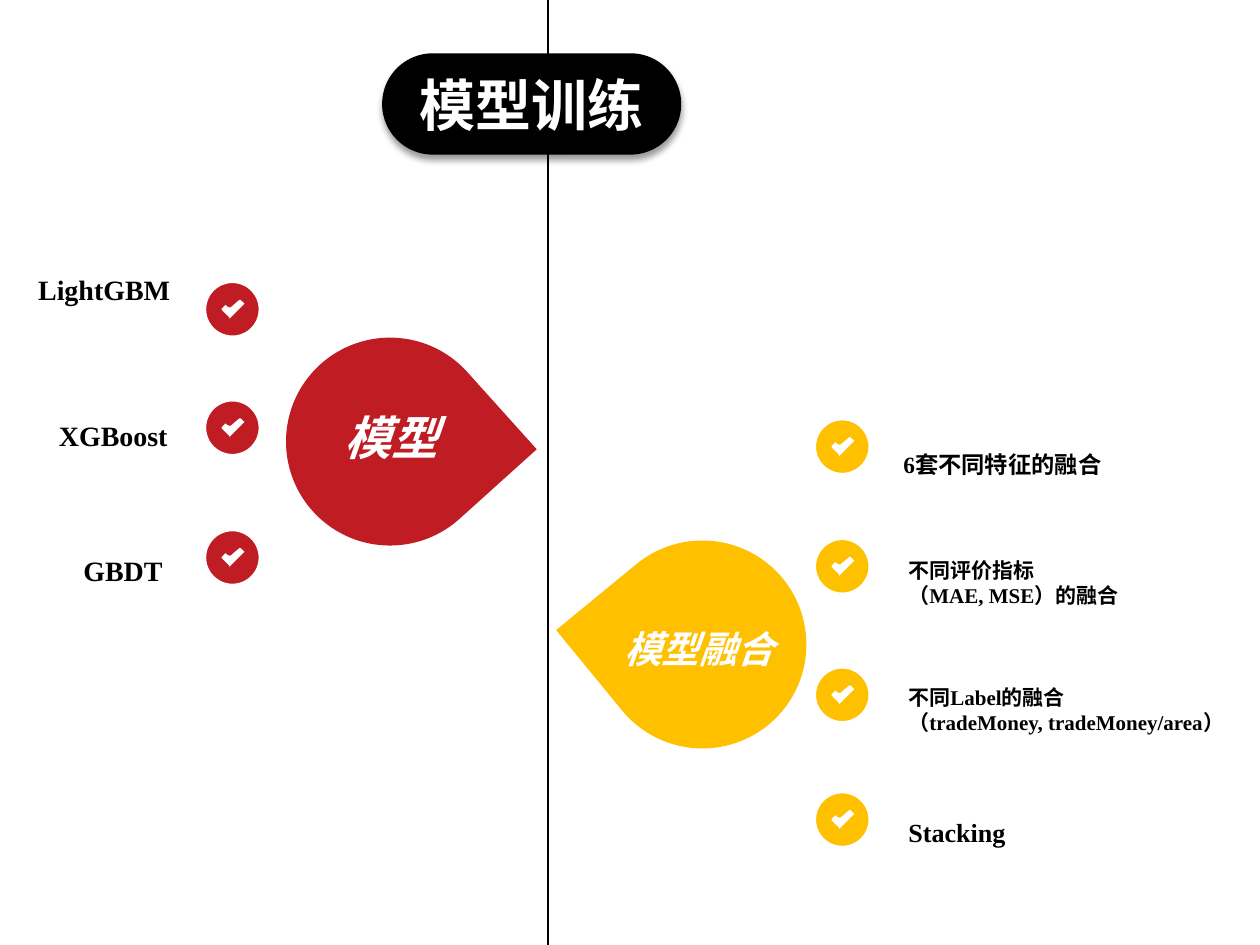
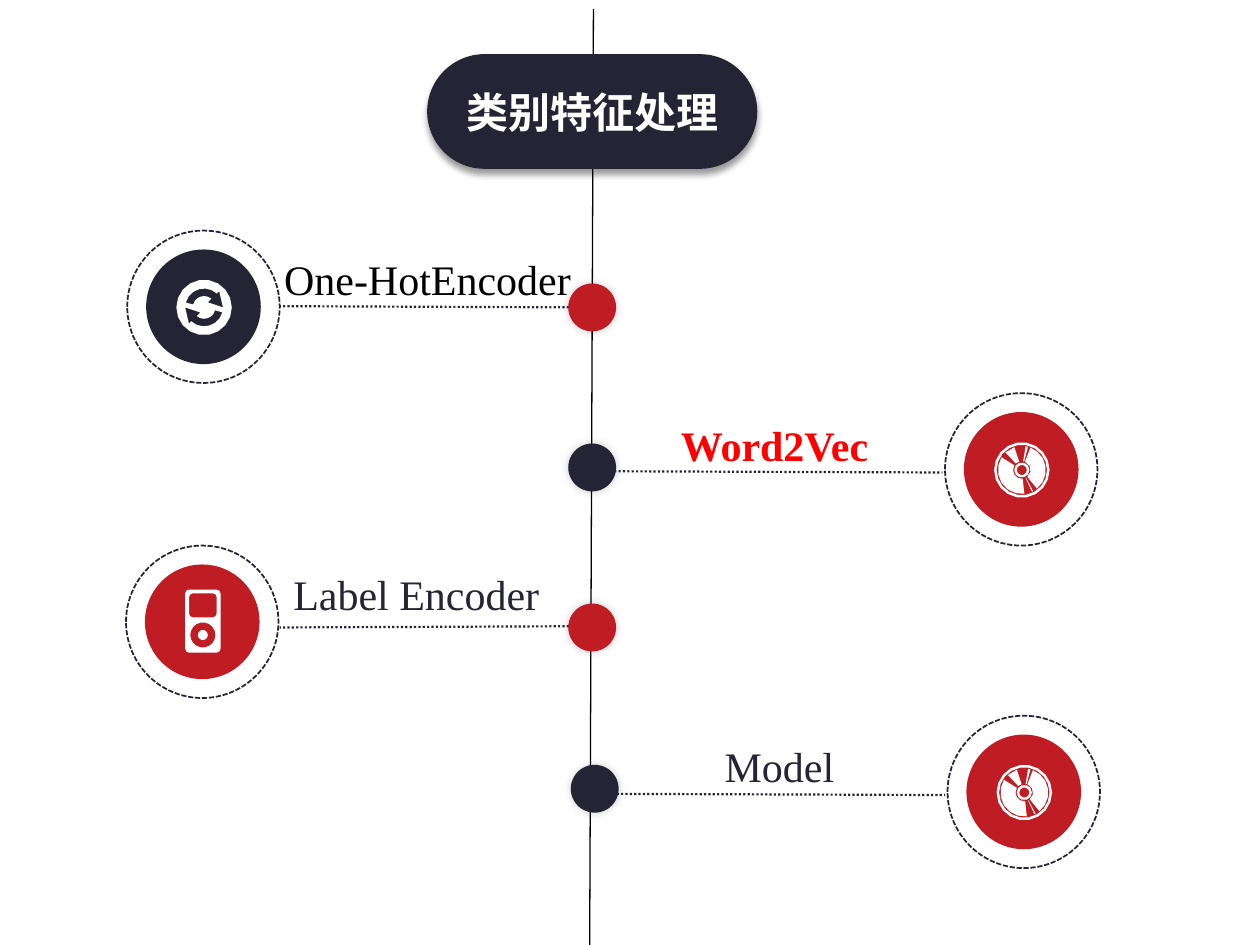
from dataclasses import dataclass
from math import cos, radians, sin
from typing import NamedTuple, Optional

from lxml import etree
from pptx import Presentation
from pptx import util as u
from pptx.dml.color import RGBColor
from pptx.enum import dml, shapes, text
from pptx.oxml import ns

Point = tuple[float, float]
Outline = list[Point]


@dataclass(frozen=True)
class Theme:
    black: str = "000000"
    white: str = "FFFFFF"
    ink: str = "252434"
    red: str = "C01C23"
    amber: str = "FFC000"
    alert: str = "FF0000"
    serif: str = "Times New Roman"
    sans: str = "Calibri"
    big_title: float = 32
    title: float = 24
    step: float = 24
    drop: float = 26.6
    long_drop: float = 21.4
    item: float = 16
    stacking: float = 14.9
    features: float = 13.3
    note: float = 12


THEME = Theme()
LEFT, CENTER, RIGHT = text.PP_ALIGN.LEFT, text.PP_ALIGN.CENTER, text.PP_ALIGN.RIGHT


class Box(NamedTuple):
    left: float
    top: float
    width: float
    height: float

    def lengths(self) -> list[u.Length]:
        return [u.Inches(value) for value in self]


class Style(NamedTuple):
    size: float
    color: str = THEME.black
    bold: bool = False
    italic: bool = False
    font: str = THEME.serif
    align: text.PP_ALIGN = LEFT


class Shadow(NamedTuple):
    alpha: int
    blur: float
    distance: float = 0
    angle: int = 0


class Label(NamedTuple):
    words: str
    box: Box
    style: Style


class Drop(NamedTuple):
    box: Box
    rotation: float
    color: str
    label: Label


class Check(NamedTuple):
    left: float
    top: float
    color: str


class Step(NamedTuple):
    """A dot on the axis, its dotted line and its ringed icon."""
    dot: Point
    start: Point
    end: Point
    ring: Point
    color: str
    dot_color: str
    icon: list[Outline]
    label: Label
    wrap: bool = False


def arc(radius: float, start: float, stop: float, center: Point = (0, 0)) -> Outline:
    """Points along an arc, in degrees clockwise from the right."""
    count = max(1, round(abs(stop - start) / (20 if radius > 0.08 else 36)))
    angles = [radians(start + (stop - start) * i / count) for i in range(count + 1)]
    return [(center[0] + radius * cos(a), center[1] + radius * sin(a)) for a in angles]


def circle(radius: float, center: Point = (0, 0)) -> Outline:
    return arc(radius, 0, 360, center)[:-1]


def sector(start: float, stop: float) -> Outline:
    return arc(0.19, start, stop) + arc(0.07, stop, start)


def rounded(box: Box, radius: float) -> Outline:
    x0, y0 = box.left + radius, box.top + radius
    x1, y1 = box.left + box.width - radius, box.top + box.height - radius
    corners = [(x1, y1), (x0, y1), (x0, y0), (x1, y0)]
    return [point for i, corner in enumerate(corners)
            for point in arc(radius, 90 * i, 90 * i + 90, corner)]


CHECK_MARK = [[(0.17, 0.02), (0.15, 0), (0.14, 0), (0.07, 0.06), (0.06, 0.06),
               (0.04, 0.05), (0.03, 0.04), (0.02, 0.05), (0, 0.07), (0, 0.08),
               (0.06, 0.14), (0.06, 0.15), (0.07, 0.14), (0.17, 0.04), (0.18, 0.03)]]
ARROW = (arc(0.15, 195, 313) + [(0.12, -0.13), (0.15, 0), (0.03, -0.04)]
         + arc(0.09, 310, 195))
CYCLE = [circle(0.22), ARROW, [(-x, -y) for x, y in ARROW]]
DISC = [circle(r) for r in (0.22, 0.2, 0.06, 0.04)] + [
    sector(*span) for span in ((-69, 51), (-81, -75), (-133, -108), (84, 212), (62, 65))]
PLAYER = [rounded(Box(-0.14, -0.26, 0.28, 0.5), 0.03),
          rounded(Box(-0.11, -0.23, 0.22, 0.19), 0.03),
          circle(0.1, (0, 0.1)), circle(0.04, (0, 0.1))]


def paint(shape, fill: Optional[str], line: Optional[str] = None, width: float = 1,
          shadow: Optional[Shadow] = None) -> None:
    if fill:
        shape.fill.solid()
        shape.fill.fore_color.rgb = RGBColor.from_string(fill)
    else:
        shape.fill.background()
    if line:
        shape.line.color.rgb = RGBColor.from_string(line)
        shape.line.width = u.Pt(width)
    else:
        shape.line.fill.background()
    shape.shadow.inherit = False
    if shadow:
        effects = shape.element.spPr.find(ns.qn("a:effectLst"))
        outer = etree.SubElement(
            effects, ns.qn("a:outerShdw"), blurRad=str(u.Pt(shadow.blur)),
            dist=str(u.Pt(shadow.distance)), dir=str(shadow.angle * 60000),
            algn="ctr", rotWithShape="0")
        color = etree.SubElement(outer, ns.qn("a:srgbClr"), val=THEME.black)
        etree.SubElement(color, ns.qn("a:alpha"), val=str(shadow.alpha * 1000))


def write(frame, words: str, style: Style) -> None:
    frame.text = words
    for para in frame.paragraphs:
        para.alignment = style.align
        for span in para.runs:
            span.font.name = style.font
            span.font.size = u.Pt(style.size)
            span.font.bold = style.bold
            span.font.italic = style.italic
            span.font.color.rgb = RGBColor.from_string(style.color)


def add_label(slide, label: Label, roomy: bool = True, wrap: bool = True) -> None:
    """Roomy labels have wide margins and centred lines; others grow with their text."""
    frame = slide.shapes.add_textbox(*label.box.lengths()).text_frame
    write(frame, label.words, label.style)
    frame.word_wrap = wrap
    if roomy:
        frame.margin_left = frame.margin_right = u.Inches(0.13)
        frame.margin_top = frame.margin_bottom = u.Inches(0.07)
        frame.vertical_anchor = text.MSO_ANCHOR.MIDDLE
    else:
        frame.auto_size = text.MSO_AUTO_SIZE.SHAPE_TO_FIT_TEXT


def add_preset(slide, kind: shapes.MSO_SHAPE, box: Box, fill: Optional[str], **look):
    shape = slide.shapes.add_shape(kind, *box.lengths())
    paint(shape, fill, **look)
    return shape


def add_icon(slide, outlines: list[Outline], origin: Point) -> None:
    """Draw white outlines, where an inner outline cuts a hole."""
    scaled = [[(u.Inches(x), u.Inches(y)) for x, y in outline] for outline in outlines]
    builder = slide.shapes.build_freeform(*scaled[0][0], scale=1.0)
    builder.add_line_segments(scaled[0][1:], close=True)
    for outline in scaled[1:]:
        builder.move_to(*outline[0])
        builder.add_line_segments(outline[1:], close=True)
    paint(builder.convert_to_shape(*(u.Inches(value) for value in origin)), THEME.white)


def add_line(slide, start: Point, end: Point, color: str = THEME.black,
             width: float = 0.75, dotted: bool = False) -> None:
    ends = [u.Inches(value) for value in start + end]
    line = slide.shapes.add_connector(shapes.MSO_CONNECTOR.STRAIGHT, *ends)
    line.line.color.rgb = RGBColor.from_string(color)
    line.line.width = u.Pt(width)
    if dotted:
        line.line.dash_style = dml.MSO_LINE.ROUND_DOT
        outline = line.element.spPr.find(ns.qn("a:ln"))
        etree.SubElement(outline, ns.qn("a:headEnd"), type="oval")
    etree.SubElement(line.element.spPr, ns.qn("a:effectLst"))


def add_title(slide, label: Label, fill: str, line: Optional[str] = None) -> None:
    """Lay the title placeholder over a pill, both in front of the axis."""
    pill = add_preset(slide, shapes.MSO_SHAPE.ROUNDED_RECTANGLE, label.box, fill,
                      line=line, shadow=Shadow(40, 4, 3, 90))
    pill.adjustments[0] = 0.5
    title = slide.shapes.title
    title.left, title.top, title.width, title.height = label.box.lengths()
    write(title.text_frame, label.words, label.style)
    title.text_frame.word_wrap = False
    title.text_frame.auto_size = text.MSO_AUTO_SIZE.NONE
    title.text_frame.vertical_anchor = text.MSO_ANCHOR.MIDDLE
    pill.element.addnext(title.element)


def add_step(slide, step: Step) -> None:
    oval = shapes.MSO_SHAPE.OVAL
    x, y = step.ring
    add_line(slide, step.start, step.end, THEME.ink, 1.25, dotted=True)
    add_preset(slide, oval, Box(*step.dot, 0.38, 0.38), step.dot_color, shadow=Shadow(20, 5))
    ring = add_preset(slide, oval, Box(x, y, 1.21, 1.21), None, line=THEME.ink)
    ring.line.dash_style = dml.MSO_LINE.SQUARE_DOT
    add_preset(slide, oval, Box(x + 0.15, y + 0.15, 0.91, 0.91), step.color)
    add_icon(slide, step.icon, (x + 0.61, y + 0.61))
    add_label(slide, step.label, roomy=False, wrap=step.wrap)


def build_training(slide) -> None:
    item = Style(THEME.item, bold=True, align=RIGHT)
    note = Style(THEME.note, bold=True)
    drop_style = Style(THEME.drop, THEME.white, True, True, align=CENTER)
    drops = [
        Drop(Box(4.75, 4.29, 1.65, 1.65), 230.6, THEME.amber,
             Label("模型融合", Box(4.63, 4.67, 1.84, 0.96),
                   drop_style._replace(size=THEME.long_drop))),
        Drop(Box(2.27, 2.68, 1.65, 1.65), 48, THEME.red,
             Label("模型", Box(2.42, 3.15, 1.37, 0.64), drop_style)),
    ]
    checks = [Check(1.63, top, THEME.red) for top in (2.24, 3.18, 4.21)]
    checks += [Check(6.47, top, THEME.amber) for top in (3.33, 4.28, 5.3, 6.29)]
    labels = [
        Label("LightGBM", Box(0.08, 2.06, 1.4, 0.47), item),
        Label("XGBoost", Box(0.06, 3.29, 1.4, 0.33), item),
        Label("GBDT", Box(0.02, 4.36, 1.4, 0.33), item),
        Label("6套不同特征的融合", Box(7.04, 3.52, 2.41, 0.33),
              note._replace(size=THEME.features)),
        Label("不同评价指标\n（MAE, MSE）的融合", Box(7.08, 4.42, 2.09, 0.41), note),
        Label("不同Label的融合\n（tradeMoney, tradeMoney/area）",
              Box(7.08, 5.28, 2.91, 0.7), note),
        Label("Stacking", Box(7.08, 6.43, 2.41, 0.34), note._replace(size=THEME.stacking)),
    ]
    for drop in drops:
        shape = add_preset(slide, shapes.MSO_SHAPE.TEAR, drop.box, drop.color)
        shape.rotation = drop.rotation
    for drop in drops:
        add_label(slide, drop.label)
    for check in checks:
        add_preset(slide, shapes.MSO_SHAPE.OVAL, Box(check.left, check.top, 0.43, 0.43),
                   check.color, line=THEME.white)
        add_icon(slide, CHECK_MARK, (check.left + 0.13, check.top + 0.14))
    for label in labels:
        add_label(slide, label)
    add_line(slide, (4.35, 0), (4.35, 7.5))
    heading = Style(THEME.big_title, THEME.white, True, align=CENTER)
    add_title(slide, Label("模型训练", Box(3.04, 0.43, 2.36, 0.79), heading),
              THEME.black, THEME.black)


def build_categories(slide) -> None:
    plain = Style(THEME.step, THEME.ink, align=RIGHT)
    steps = [
        Step((4.51, 2.25), (4.69, 2.44), (2.22, 2.43), (1.01, 1.83), THEME.ink, THEME.red, CYCLE,
             Label("One-HotEncoder", Box(2.06, 1.96, 2.57, 0.5),
                   plain._replace(color=THEME.black))),
        Step((4.51, 3.52), (4.7, 3.74), (7.48, 3.75), (7.5, 3.12), THEME.red, THEME.ink, DISC,
             Label("Word2Vec", Box(5.29, 3.28, 1.7, 0.5),
                   plain._replace(color=THEME.alert, bold=True))),
        Step((4.51, 4.79), (4.69, 4.97), (2.22, 4.98), (1, 4.33), THEME.red, THEME.red, PLAYER,
             Label("Label Encoder", Box(2.23, 4.46, 2.3, 0.5), plain._replace(align=LEFT)),
             wrap=True),
        Step((4.53, 6.07), (4.72, 6.3), (7.5, 6.31), (7.52, 5.68), THEME.red, THEME.ink, DISC,
             Label("Model", Box(5.64, 5.83, 1.08, 0.5), plain)),
    ]
    add_line(slide, (4.71, 0.07), (4.68, 7.5))
    for step in steps:
        add_step(slide, step)
    heading = Style(THEME.title, THEME.white, True, font=THEME.sans, align=CENTER)
    add_title(slide, Label("类别特征处理", Box(3.39, 0.43, 2.62, 0.91), heading), THEME.ink)


def main() -> None:
    deck = Presentation()
    deck.slide_width, deck.slide_height = u.Inches(10), u.Inches(7.5)
    title_only = deck.slide_layouts[5]
    for build in (build_training, build_categories):
        build(deck.slides.add_slide(title_only))
    deck.save("out.pptx")


if __name__ == "__main__":
    main()
